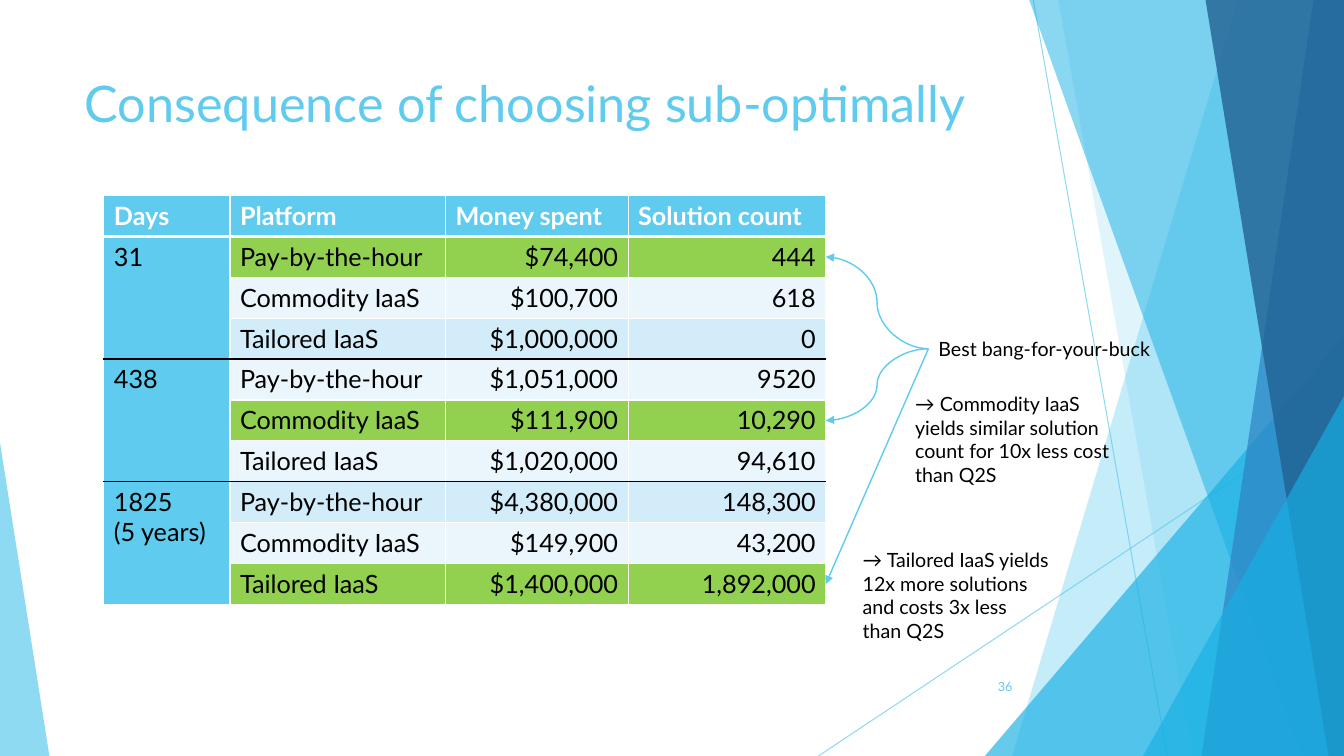
"""Build the slide comparing cloud platforms by money spent and solutions found."""
from dataclasses import dataclass
from typing import NamedTuple

from lxml import etree
from pptx import Presentation
from pptx import util as u
from pptx.dml import color as dml
from pptx.enum import shapes, text
from pptx.oxml import ns

SKY, CYAN, BLUE, NAVY = "5FCBEF", "17B0E4", "2E83C3", "226292"
WHITE, BLACK, GREEN = "FFFFFF", "000000", "92D050"
BANDS = ("EAF6FC", "D2ECF9")
FONT = "Lato"
LEFT, RIGHT = text.PP_ALIGN.LEFT, text.PP_ALIGN.RIGHT
TOP, MIDDLE = text.MSO_ANCHOR.TOP, text.MSO_ANCHOR.MIDDLE
STRAIGHT, CURVE = shapes.MSO_CONNECTOR.STRAIGHT, shapes.MSO_CONNECTOR.CURVE


class Box(NamedTuple):
    """Left, top, width and height in percent of the slide."""
    left: float
    top: float
    width: float
    height: float


class Point(NamedTuple):
    """A place in percent of the slide."""
    x: float
    y: float


@dataclass
class Blade:
    """A facet from its slanted left side to the right edge of the slide."""
    top_x: float
    bottom_x: float
    color: str
    opacity: int


@dataclass
class Wedge:
    """A right triangle standing on the bottom edge, its apex at one end."""
    left: float
    top: float
    width: float
    apex: float
    color: str
    opacity: int


@dataclass
class Offer:
    """One platform with its cost and result."""
    platform: str
    money: str
    solutions: str
    best: bool = False


@dataclass
class Note:
    """A remark beside the table."""
    words: str
    box: Box
    wrap: bool = True


BACK_BLADES = [Blade(92.1, 75.3, SKY, 36), Blade(78.75, 88.73, SKY, 20)]
FRONT_BLADES = [Blade(76.58, 96.83, CYAN, 50), Blade(97.73, 89.4, BLUE, 70),
                Blade(89.7, 98.85, NAVY, 80)]
LARGE_WEDGE = Wedge(73.28, 44.4, 26.72, 1, CYAN, 66)
EDGE_WEDGES = [Wedge(85.05, 52.4, 14.95, 1, CYAN, 66),
               Wedge(0, 58.53, 3.68, 0, SKY, 70)]
RAYS = [(Point(76.88, 0), Point(86.85, 100)), (Point(100, 53.73), Point(60.9, 100))]

HEADINGS = ("Days", "Platform", "Money spent", "Solution count")
PERIODS = {
    "31": [Offer("Pay-by-the-hour", "$74,400", "444", True),
           Offer("Commodity IaaS", "$100,700", "618"),
           Offer("Tailored IaaS", "$1,000,000", "0")],
    "438": [Offer("Pay-by-the-hour", "$1,051,000", "9520"),
            Offer("Commodity IaaS", "$111,900", "10,290", True),
            Offer("Tailored IaaS", "$1,020,000", "94,610")],
    "1825\n(5 years)": [Offer("Pay-by-the-hour", "$4,380,000", "148,300"),
                        Offer("Commodity IaaS", "$149,900", "43,200"),
                        Offer("Tailored IaaS", "$1,400,000", "1,892,000", True)],
}
OFFERS = [offer for period in PERIODS.values() for offer in period]
COLUMNS = (9.38, 16.05, 13.58, 14.7)
ROW = 5.41
GRID = Box(7.73, 25.87, sum(COLUMNS), ROW * (len(OFFERS) + 1))

NOTES = [
    Note("Best bang-for-your-buck", Box(69.08, 43.87, 17.4, 4.53), wrap=False),
    Note("→ Tailored IaaS yields 12x more solutions and costs 3x less\nthan Q2S",
         Box(63.45, 71.87, 16.35, 13.87)),
    Note("→ Commodity IaaS yields similar solution count for 10x less cost\nthan Q2S",
         Box(67.35, 51.2, 16.35, 13.87)),
]
BEST_HUB = Point(69.08, 46.13)

deck = Presentation()
deck.slide_width, deck.slide_height = u.Inches(13.333), u.Inches(7.5)
slide = deck.slides.add_slide(deck.slide_layouts[5])


def across(share: float) -> int:
    return round(deck.slide_width * share / 100)


def down(share: float) -> int:
    return round(deck.slide_height * share / 100)


def frame_of(box: Box) -> tuple:
    return across(box.left), down(box.top), across(box.width), down(box.height)


def rgb(code: str) -> dml.RGBColor:
    return dml.RGBColor.from_string(code)


def fade(part, opacity: int) -> None:
    for shade in part.iter(ns.qn("a:srgbClr")):
        etree.SubElement(shade, ns.qn("a:alpha"), val=str(opacity * 1000))


def write(frame, words: str, *, size: float, color: str = BLACK, bold: bool = False,
          align=LEFT) -> None:
    frame.text = words
    for paragraph in frame.paragraphs:
        paragraph.alignment = align
        font = paragraph.runs[0].font
        font.name, font.size, font.bold = FONT, u.Pt(size), bold
        font.color.rgb = rgb(color)


def paint(facet, color: str, opacity: int) -> None:
    facet.shadow.inherit = False
    facet.fill.solid()
    facet.fill.fore_color.rgb = rgb(color)
    facet.line.fill.background()
    fade(facet._element.spPr, opacity)


def draw_blade(blade: Blade) -> None:
    outline = slide.shapes.build_freeform(across(blade.top_x), 0)
    outline.add_line_segments([(across(100), 0), (across(100), down(100)),
                               (across(blade.bottom_x), down(100))])
    paint(outline.convert_to_shape(), blade.color, blade.opacity)


def draw_wedge(wedge: Wedge) -> None:
    box = Box(wedge.left, wedge.top, wedge.width, 100 - wedge.top)
    facet = slide.shapes.add_shape(shapes.MSO_SHAPE.ISOSCELES_TRIANGLE, *frame_of(box))
    facet.adjustments[0] = wedge.apex
    paint(facet, wedge.color, wedge.opacity)


def connect(start: Point, end: Point, *, kind=STRAIGHT, width: float = 1,
            opacity: int = 100, arrow: bool = False) -> None:
    link = slide.shapes.add_connector(kind, across(start.x), down(start.y),
                                      across(end.x), down(end.y))
    link.line.width = u.Pt(width)
    link.line.color.rgb = rgb(SKY)
    outline = link._element.spPr
    if opacity < 100:
        fade(outline, opacity)
    if arrow:
        etree.SubElement(outline.find(ns.qn("a:ln")), ns.qn("a:tailEnd"), type="triangle")
    etree.SubElement(outline, ns.qn("a:effectLst"))


def fill_cell(cell, words: str, fill: str, *, top: str = WHITE, bottom: str = WHITE,
              bottom_width: float = 1, **style) -> None:
    edges = {"L": (WHITE, 1), "R": (WHITE, 1), "T": (top, 1), "B": (bottom, bottom_width)}
    holder = cell._tc.get_or_add_tcPr()
    for side, (color, width) in edges.items():
        edge = etree.SubElement(holder, ns.qn(f"a:ln{side}"), w=str(u.Pt(width)))
        solid = etree.SubElement(edge, ns.qn("a:solidFill"))
        etree.SubElement(solid, ns.qn("a:srgbClr"), val=color)
    cell.fill.solid()
    cell.fill.fore_color.rgb = rgb(fill)
    if words:
        write(cell.text_frame, words, size=18, **style)


def draw_comparison() -> None:
    comparison = slide.shapes.add_table(len(OFFERS) + 1, len(HEADINGS),
                                        *frame_of(GRID)).table
    for column, share in zip(comparison.columns, COLUMNS):
        column.width = across(share)
    for line in comparison.rows:
        line.height = down(ROW)
    for place, heading in enumerate(HEADINGS):
        fill_cell(comparison.cell(0, place), heading, SKY, bottom_width=3,
                  color=WHITE, bold=True)
    row = 1
    for days, offers in PERIODS.items():
        first, last = row, row + len(offers) - 1
        top = BLACK if first > 1 else WHITE
        bottom = BLACK if last < len(OFFERS) else WHITE
        for offer in offers:
            rules = {"top": top if row == first else WHITE,
                     "bottom": bottom if row == last else WHITE}
            fill = GREEN if offer.best else BANDS[row % 2]
            fill_cell(comparison.cell(row, 0), days if row == first else "", SKY,
                      top=rules["top"], bottom=bottom)
            fill_cell(comparison.cell(row, 1), offer.platform, fill, **rules)
            fill_cell(comparison.cell(row, 2), offer.money, fill, align=RIGHT, **rules)
            fill_cell(comparison.cell(row, 3), offer.solutions, fill, align=RIGHT, **rules)
            row += 1
        comparison.cell(first, 0).merge(comparison.cell(last, 0))


def add_words(words: str, box: Box, *, wrap: bool = True, anchor=TOP, **style) -> None:
    frame = slide.shapes.add_textbox(*frame_of(box)).text_frame
    frame.word_wrap, frame.vertical_anchor = wrap, anchor
    write(frame, words, **style)


for start, end in RAYS:
    connect(start, end, width=0.75, opacity=70)
for blade in BACK_BLADES:
    draw_blade(blade)
draw_wedge(LARGE_WEDGE)
for blade in FRONT_BLADES:
    draw_blade(blade)
for wedge in EDGE_WEDGES:
    draw_wedge(wedge)

headline = slide.shapes.title
slide.shapes._spTree.append(headline._element)
headline.left, headline.top, headline.width, headline.height = frame_of(
    Box(5.55, 8.93, 75.23, 19.2))
headline.text_frame.auto_size = text.MSO_AUTO_SIZE.NONE
headline.text_frame.vertical_anchor = TOP
write(headline.text_frame, "Consequence of choosing sub-optimally", size=36, color=SKY)
add_words("36", Box(70.43, 88.13, 5.63, 5.33), anchor=MIDDLE, size=9, color=SKY, align=RIGHT)

draw_comparison()
best_rows = [row for row, offer in enumerate(OFFERS, 1) if offer.best]
for row, kind in zip(best_rows, (CURVE, CURVE, STRAIGHT)):
    best_end = Point(GRID.left + GRID.width, GRID.top + (row + 0.5) * ROW)
    connect(BEST_HUB, best_end, kind=kind, arrow=True)
for note in NOTES:
    add_words(note.words, note.box, wrap=note.wrap, size=14)

deck.save("out.pptx")
